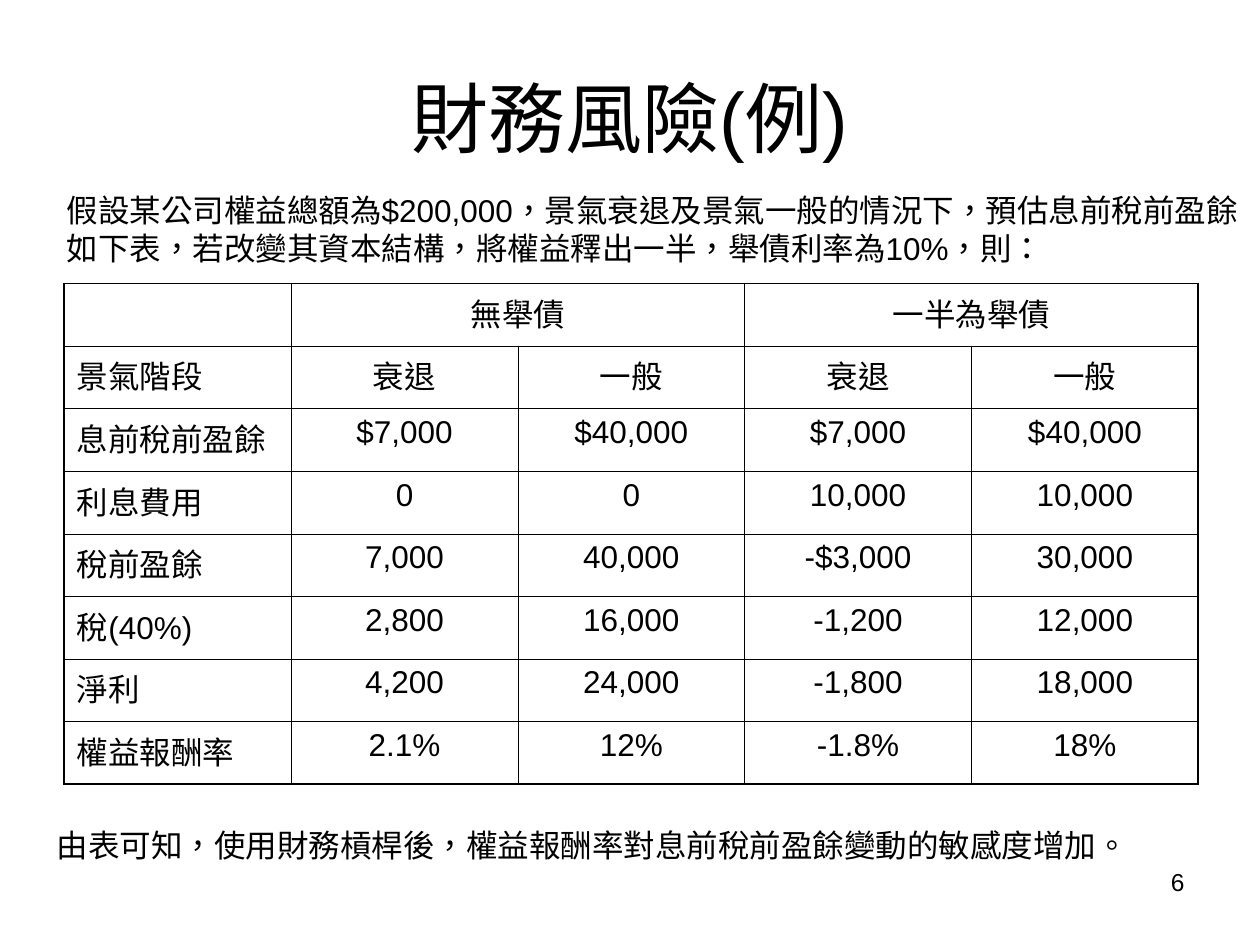
from dataclasses import dataclass

from lxml.etree import SubElement
from pptx import Presentation
from pptx.dml.color import RGBColor
from pptx.enum.text import MSO_ANCHOR, PP_ALIGN
from pptx.oxml.ns import qn
from pptx.util import Pt


@dataclass(frozen=True)
class Theme:
    """Colours, font, type sizes and rule widths of the slide."""
    ink: RGBColor = RGBColor(0, 0, 0)
    font: str = "Arial"
    title: float = 44
    body: float = 18
    number: float = 14
    inner: float = 0.45
    outer: float = 1.08


class SlideBuilder:
    """Adds styled elements to the current slide."""

    def __init__(self, s, theme):
        self.s = s
        self.theme = theme

    def run(self, tf, text, size, align):
        """Add one styled run to the first paragraph."""
        p = tf.paragraphs[0]
        p.alignment = align
        r = p.add_run()
        r.text = text
        r.font.size = Pt(size)
        r.font.name = self.theme.font
        r.font.color.rgb = self.theme.ink
        r._r.get_or_add_rPr().set("lang", "zh-TW")

    def text(self, x, y, w, h, text, size, align=PP_ALIGN.LEFT, anchor=MSO_ANCHOR.TOP):
        """Add a wrapping text box."""
        sp = self.s.shapes.add_textbox(Pt(x), Pt(y), Pt(w), Pt(h))
        tf = sp.text_frame
        tf.word_wrap = True
        tf.vertical_anchor = anchor
        self.run(tf, text, size, align)

    def border(self, cell, side, width):
        """Draw one solid side of a cell."""
        ln = SubElement(cell._tc.get_or_add_tcPr(), qn(f"a:ln{side}"), w=str(int(Pt(width))))
        fill = SubElement(ln, qn("a:solidFill"))
        SubElement(fill, qn("a:srgbClr"), val=str(self.theme.ink))

    def table(self, x, y, col_w, row_h, rows, merges):
        """Add a ruled table with a heavier outer frame."""
        n_rows, n_cols = len(rows), len(rows[0])
        frame = self.s.shapes.add_table(n_rows, n_cols, Pt(x), Pt(y),
                                        Pt(col_w * n_cols), Pt(row_h * n_rows))
        tbl = frame.table
        tbl.first_row = tbl.horz_banding = False
        style = tbl._tbl.tblPr.find(qn("a:tableStyleId"))
        style.text = "{2D5ABB26-0587-4C30-8999-92F81FD0307C}"
        for col in tbl.columns:
            col.width = Pt(col_w)
        for row in tbl.rows:
            row.height = Pt(row_h)
        for first, last in merges:
            tbl.cell(*first).merge(tbl.cell(*last))

        for i, row in enumerate(rows):
            for j, value in enumerate(row):
                cell = tbl.cell(i, j)
                end = j + (cell.span_width if cell.is_merge_origin else 1)
                frame_sides = {"L": j == 0, "R": end == n_cols,
                               "T": i == 0, "B": i == n_rows - 1}
                for side, outer in frame_sides.items():
                    if not (cell.is_spanned and side == "L"):
                        self.border(cell, side, self.theme.outer if outer else self.theme.inner)
                cell.fill.background()
                if value:
                    align = PP_ALIGN.CENTER if j else PP_ALIGN.LEFT
                    self.run(cell.text_frame, value, self.theme.body, align)


ROWS = [
    ("", "無舉債", "", "一半為舉債", ""),
    ("景氣階段", "衰退", "一般", "衰退", "一般"),
    ("息前稅前盈餘", "$7,000", "$40,000", "$7,000", "$40,000"),
    ("利息費用", "0", "0", "10,000", "10,000"),
    ("稅前盈餘", "7,000", "40,000", "-$3,000", "30,000"),
    ("稅(40%)", "2,800", "16,000", "-1,200", "12,000"),
    ("淨利", "4,200", "24,000", "-1,800", "18,000"),
    ("權益報酬率", "2.1%", "12%", "-1.8%", "18%"),
]


def main():
    """Build and save the financial risk slide."""
    prs = Presentation()
    prs.slide_width, prs.slide_height = Pt(720), Pt(540)
    theme = Theme()
    b = SlideBuilder(prs.slides.add_slide(prs.slide_layouts[6]), theme)
    b.text(36, 21.6, 648, 90, "財務風險(例)", theme.title, PP_ALIGN.CENTER, MSO_ANCHOR.MIDDLE)
    b.table(36.75, 162, 129.6, 35.8, ROWS, [((0, 1), (0, 2)), ((0, 3), (0, 4))])
    b.text(31, 105.8, 689, 50.4,
           "假設某公司權益總額為$200,000，景氣衰退及景氣一般的情況下，預估息前稅前盈餘如下表，"
           "若改變其資本結構，將權益釋出一半，舉債利率為10%，則：", theme.body)
    b.text(25.2, 468.7, 694.8, 28.8,
           "由表可知，使用財務槓桿後，權益報酬率對息前稅前盈餘變動的敏感度增加。", theme.body)
    b.text(516.2, 491.8, 167.8, 37.4, "6", theme.number, PP_ALIGN.RIGHT)
    prs.save("out.pptx")


if __name__ == "__main__":
    main()
